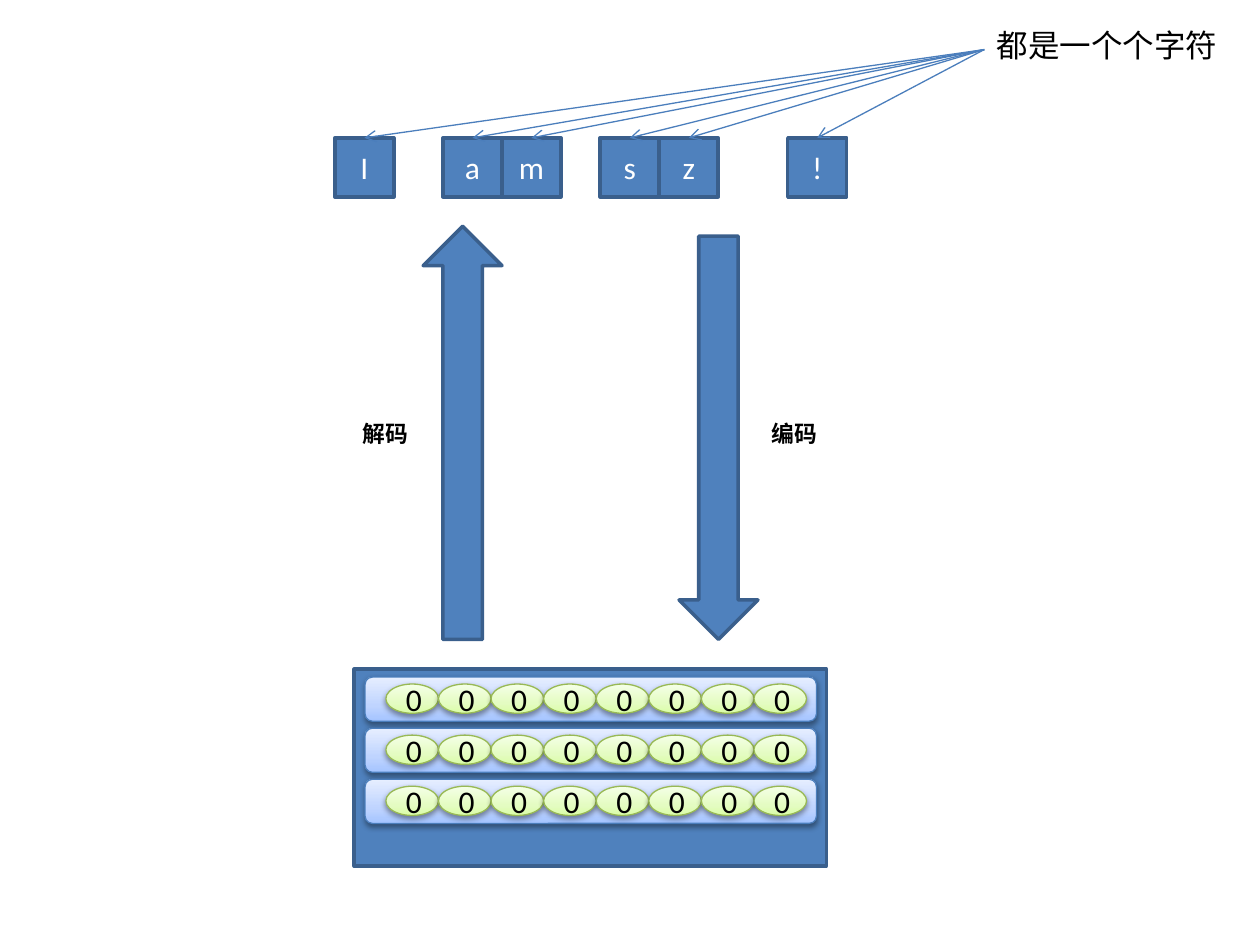
"""Build a slide showing characters being encoded to and decoded from bytes."""
import copy

import lxml.etree
import pptx
import pptx.dml.color
import pptx.enum.shapes
import pptx.enum.text
import pptx.oxml.ns
import pptx.util

Cm = pptx.util.Cm
Pt = pptx.util.Pt
qn = pptx.oxml.ns.qn
RGB = pptx.dml.color.RGBColor.from_string
SHAPE = pptx.enum.shapes.MSO_SHAPE
ALIGN = pptx.enum.text.PP_ALIGN

COLORS = {
    "blue": "4F81BD",
    "blue_edge": "3A5F8C",
    "byte_edge": "4B7EBC",
    "bit_edge": "98B955",
    "white": "FFFFFF",
    "black": "000000",
}
BYTE_STOPS = ((0, "A4C4FF"), (0.35, "BFD4FF"), (1, "E6EEFF"))
BIT_STOPS = ((0, "DAFDA7"), (0.35, "E4FCC2"), (1, "F5FFE7"))


def add_block(shapes, kind, left, top, width, height, edge="blue_edge", weight=2, stops=None):
    block = shapes.add_shape(kind, Cm(left), Cm(top), Cm(width), Cm(height))
    block.shadow.inherit = False
    block.line.color.rgb = RGB(COLORS[edge])
    block.line.width = Pt(weight)
    if stops is None:
        block.fill.solid()
        block.fill.fore_color.rgb = RGB(COLORS["blue"])
        return block
    block.fill.gradient()
    block.fill.gradient_angle = 90
    properties = block._element.spPr
    stop_list = properties.find(".//" + qn("a:gsLst"))
    stop_list.insert(1, copy.deepcopy(stop_list[0]))
    for stop, (position, color) in zip(block.fill.gradient_stops, stops):
        stop.position = position
        stop.color.rgb = RGB(color)
    shadow = lxml.etree.SubElement(
        properties.find(qn("a:effectLst")), qn("a:outerShdw"),
        blurRad=str(Pt(3.1)), dist=str(Pt(1.6)), dir="5400000", rotWithShape="0")
    shade = lxml.etree.SubElement(shadow, qn("a:srgbClr"), val=COLORS["black"])
    lxml.etree.SubElement(shade, qn("a:alpha"), val="38000")
    return block


def write(shape, text, size, color, align, bold=False):
    paragraph = shape.text_frame.paragraphs[0]
    paragraph.text = text
    paragraph.alignment = align
    paragraph.font.name = "Calibri"
    paragraph.font.size = Pt(size)
    paragraph.font.bold = bold
    paragraph.font.color.rgb = RGB(COLORS[color])


presentation = pptx.Presentation()
presentation.slide_width = Cm(25.4)
presentation.slide_height = Cm(19.05)
slide = presentation.slides.add_slide(presentation.slide_layouts[6])

memory = slide.shapes.add_group_shape().shapes
add_block(memory, SHAPE.RECTANGLE, 7.14, 13.49, 9.52, 3.97)
for row in range(3):
    byte_top = 13.65 + row * 1.03
    add_block(memory, SHAPE.ROUNDED_RECTANGLE, 7.36, byte_top, 9.1, 0.89,
              "byte_edge", 0.75, BYTE_STOPS)
    for column in range(8):
        bit = add_block(memory, SHAPE.OVAL, 7.78 + column * 1.06, byte_top + 0.14, 1.06, 0.59,
                        "bit_edge", 0.75, BIT_STOPS)
        write(bit, "0", 18, "black", ALIGN.CENTER)

characters = []
for letter, left in zip("Iamsz!", (6.75, 8.93, 10.12, 12.1, 13.29, 15.88)):
    character = add_block(slide.shapes, SHAPE.RECTANGLE, left, 2.78, 1.19, 1.19)
    write(character, letter, 18, "white", ALIGN.CENTER)
    characters.append(character)

for character in characters:
    pointer = slide.shapes.add_connector(
        pptx.enum.shapes.MSO_CONNECTOR.STRAIGHT, Cm(19.84), Cm(1), Cm(19.84), Cm(1))
    pointer.end_connect(character, 0)
    pointer.line.color.rgb = RGB(COLORS["byte_edge"])
    pointer.line.width = Pt(0.75)
    lxml.etree.SubElement(pointer.line._get_or_add_ln(), qn("a:tailEnd"), type="arrow")
    lxml.etree.SubElement(pointer._element.spPr, qn("a:effectLst"))

add_block(slide.shapes, SHAPE.DOWN_ARROW, 13.69, 4.76, 1.59, 8.13)
decode_arrow = add_block(slide.shapes, SHAPE.DOWN_ARROW, 8.53, 4.56, 1.59, 8.33)
decode_arrow.rotation = 180

for text, left, top, width, height, size, align, bold in (
    ("都是一个个字符", 19.84, 0.4, 5, 1.03, 18, ALIGN.LEFT, False),
    ("编码", 15.3, 8.33, 1.44, 0.81, 13, ALIGN.LEFT, True),
    ("解码", 7.03, 8.33, 1.44, 0.81, 13, ALIGN.RIGHT, True),
):
    label = slide.shapes.add_textbox(Cm(left), Cm(top), Cm(width), Cm(height))
    label.text_frame.word_wrap = False
    label.text_frame.auto_size = pptx.enum.text.MSO_AUTO_SIZE.SHAPE_TO_FIT_TEXT
    write(label, text, size, "black", align, bold)

presentation.save("out.pptx")
